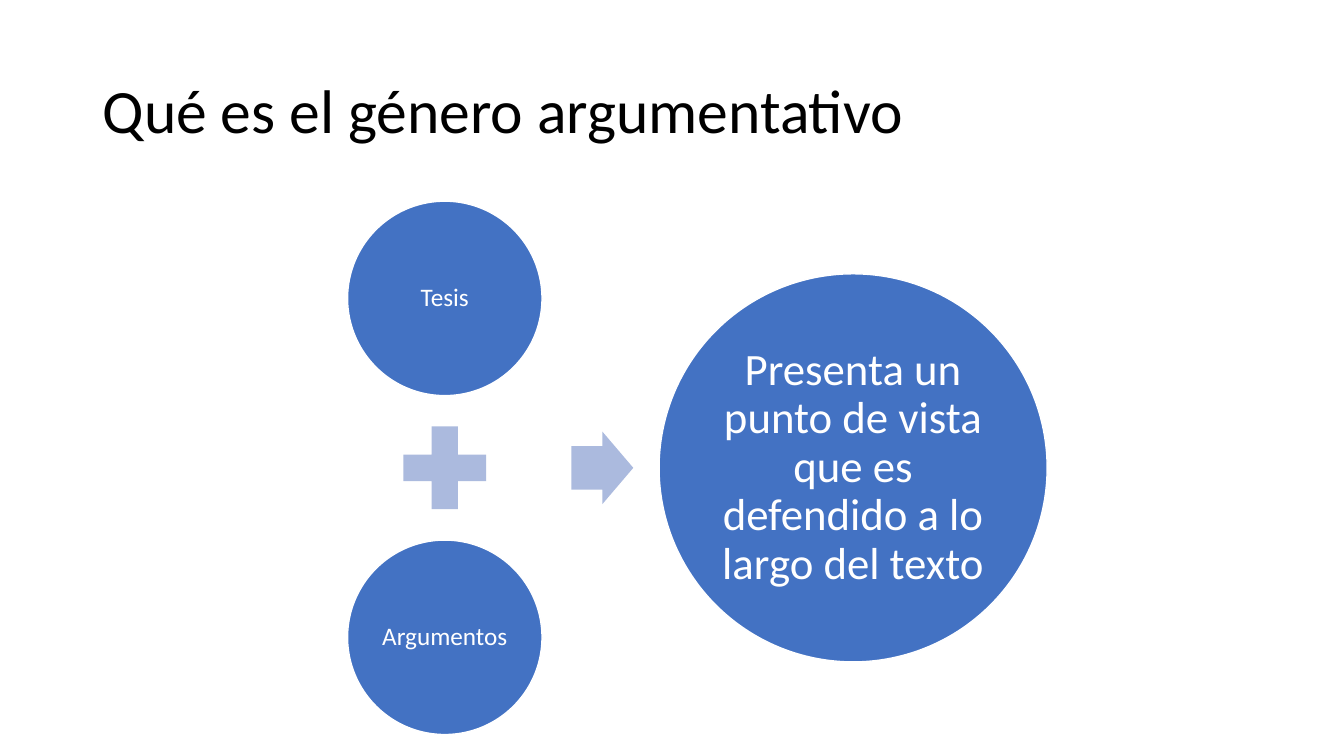
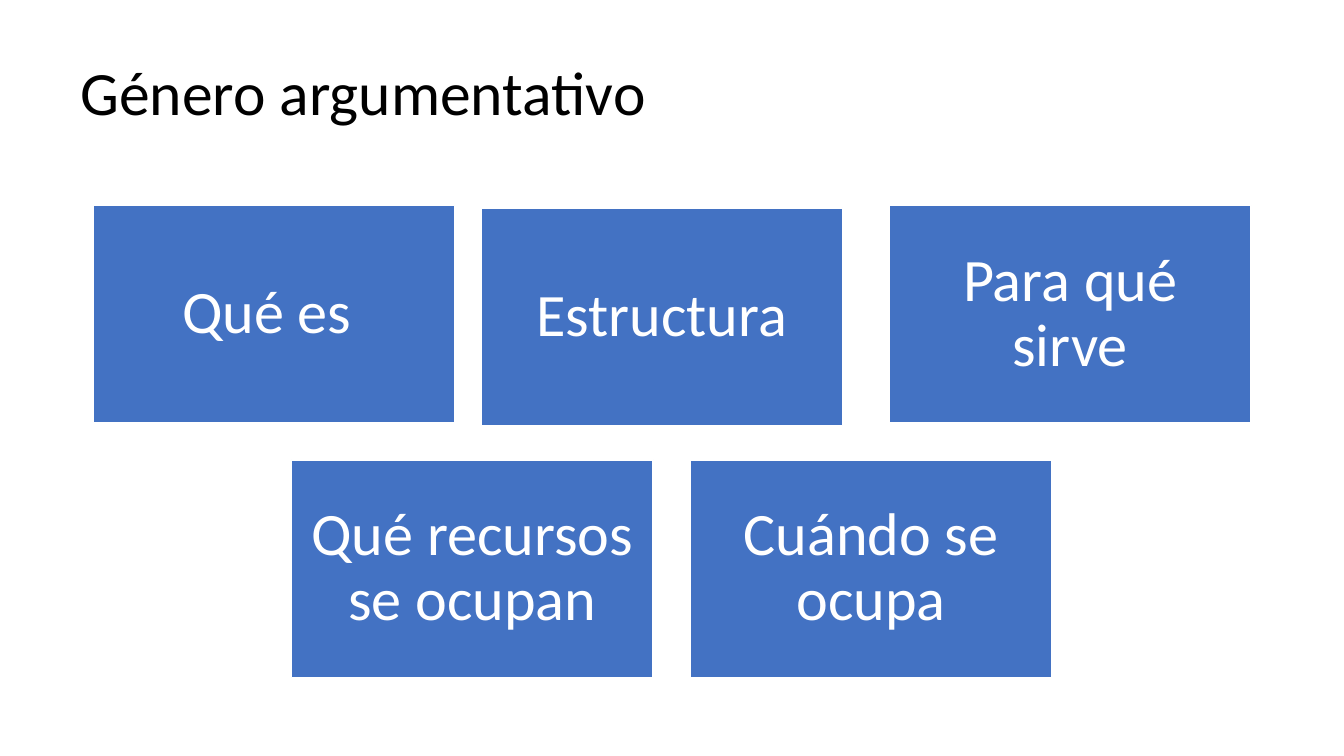
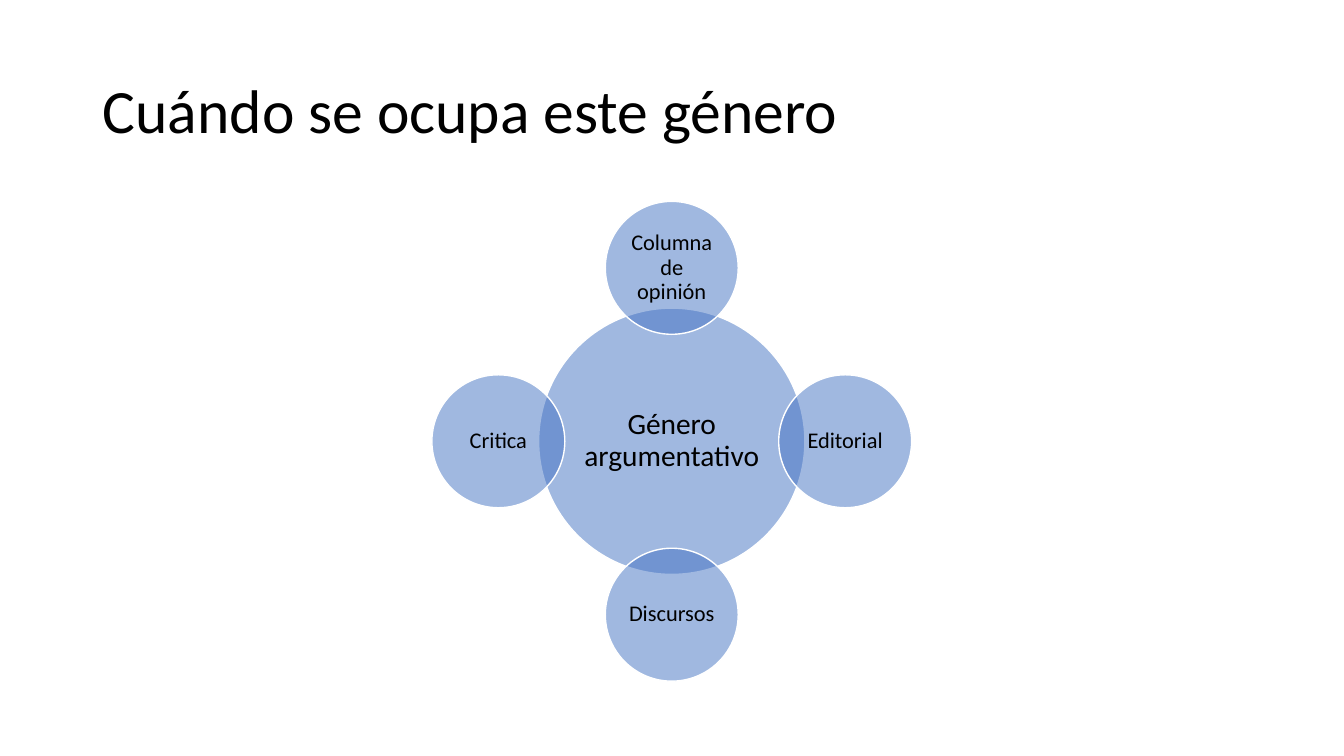
from dataclasses import dataclass
from math import cos, pi, sin

from lxml.etree import SubElement
from pptx import Presentation
from pptx.dml.color import RGBColor
from pptx.enum.shapes import MSO_SHAPE
from pptx.enum.text import MSO_ANCHOR, PP_ALIGN
from pptx.oxml.ns import qn
from pptx.shapes.autoshape import Shape
from pptx.slide import Slide
from pptx.text.text import TextFrame
from pptx.util import Cm, Pt

FONT = "Calibri"
BLUE = "4372C3"
PALE = "ABBADE"
WHITE = "FFFFFF"
BLACK = "000000"


@dataclass
class Node:
    text: str
    x: float
    y: float
    width: float
    height: float
    size: float
    inset: float = 0.05
    kind: MSO_SHAPE = MSO_SHAPE.OVAL
    ink: str = WHITE
    alpha: int = 100


@dataclass
class Sign:
    kind: MSO_SHAPE
    x: float
    y: float
    width: float
    height: float
    ratios: tuple[float, ...]


def color(code: str) -> RGBColor:
    return RGBColor.from_string(code)


def write(frame: TextFrame, text: str, size: float, ink: str, align: PP_ALIGN) -> None:
    frame.word_wrap = True
    frame.vertical_anchor = MSO_ANCHOR.MIDDLE
    line = frame.paragraphs[0]
    line.text = text
    line.alignment = align
    line.line_spacing = 0.9
    line.font.name = FONT
    line.font.size = Pt(size)
    line.font.color.rgb = color(ink)


def add_page(deck: Presentation, title: str, left: float = 2.34, top: float = 1.02) -> Slide:
    page = deck.slides.add_slide(deck.slide_layouts[6])
    box = page.shapes.add_textbox(Cm(left), Cm(top), Cm(29.21), Cm(3.68))
    write(box.text_frame, title, 44, BLACK, PP_ALIGN.LEFT)
    return page


def add_form(page: Slide, item: Node | Sign, fill: str) -> Shape:
    form = page.shapes.add_shape(
        item.kind,
        Cm(item.x - item.width / 2),
        Cm(item.y - item.height / 2),
        Cm(item.width),
        Cm(item.height),
    )
    form.shadow.inherit = False
    form.fill.solid()
    form.fill.fore_color.rgb = color(fill)
    return form


def draw_node(page: Slide, node: Node) -> None:
    form = add_form(page, node, BLUE)
    form.line.color.rgb = color(WHITE)
    form.line.width = Pt(1)
    if node.alpha < 100:
        tint = form.fill._xPr.find(qn("a:solidFill"))[0]
        SubElement(tint, qn("a:alpha")).set("val", str(node.alpha * 1000))
    frame = form.text_frame
    frame.margin_left = frame.margin_right = Cm(node.inset)
    frame.margin_top = frame.margin_bottom = Cm(node.inset)
    write(frame, node.text, node.size, node.ink, PP_ALIGN.CENTER)


def draw_sign(page: Slide, sign: Sign) -> None:
    form = add_form(page, sign, PALE)
    form.line.fill.background()
    for index, ratio in enumerate(sign.ratios):
        form.adjustments[index] = ratio


def build_sum(deck: Presentation) -> None:
    page = add_page(deck, "Qué es el género argumentativo")
    x, y, step = 11.21, 11.79, 4.27
    for text, side in (("Tesis", -1), ("Argumentos", 1)):
        draw_node(page, Node(text, x, y + side * step, 4.9, 4.9, 18))
    draw_sign(page, Sign(MSO_SHAPE.MATH_PLUS, x, y, 2.84, 2.84, (0.235,)))
    draw_sign(page, Sign(MSO_SHAPE.RIGHT_ARROW, 15.18, y, 1.56, 1.83, (0.6, 0.5)))
    goal = "Presenta un punto de vista que es defendido a lo largo del texto"
    draw_node(page, Node(goal, 21.5, y, 9.78, 9.78, 32, 0.1))


def build_grid(deck: Presentation) -> None:
    page = add_page(deck, "Género argumentativo", 1.78, 0.56)
    cells = (
        ("Qué es ", 6.9, 7.92),
        ("Estructura", 16.68, 7.98),
        ("Para qué sirve", 26.97, 7.92),
        ("Qué recursos se ocupan", 11.9, 14.33),
        ("Cuándo se ocupa", 21.95, 14.33),
    )
    for text, x, y in cells:
        draw_node(page, Node(text, x, y, 9.12, 5.48, 43, 0.46, MSO_SHAPE.RECTANGLE))


def build_ring(deck: Presentation) -> None:
    page = add_page(deck, "Cuándo se ocupa este género")
    x, y, reach = 16.93, 11.12, 4.37
    core, moon = 6.71, 3.35
    draw_node(page, Node("Género argumentativo", x, y, core, core, 21, 0.08, ink=BLACK, alpha=50))
    names = ("Columna de opinión", "Editorial", "Discursos ", "Critica")
    for index, name in enumerate(names):
        turn = 2 * pi * index / len(names)
        left, top = x + reach * sin(turn), y - reach * cos(turn)
        draw_node(page, Node(name, left, top, moon, moon, 16, ink=BLACK, alpha=50))


def main() -> None:
    deck = Presentation()
    deck.slide_width = Cm(33.87)
    deck.slide_height = Cm(19.05)
    for build in (build_sum, build_grid, build_ring):
        build(deck)
    deck.save("out.pptx")


if __name__ == "__main__":
    main()
